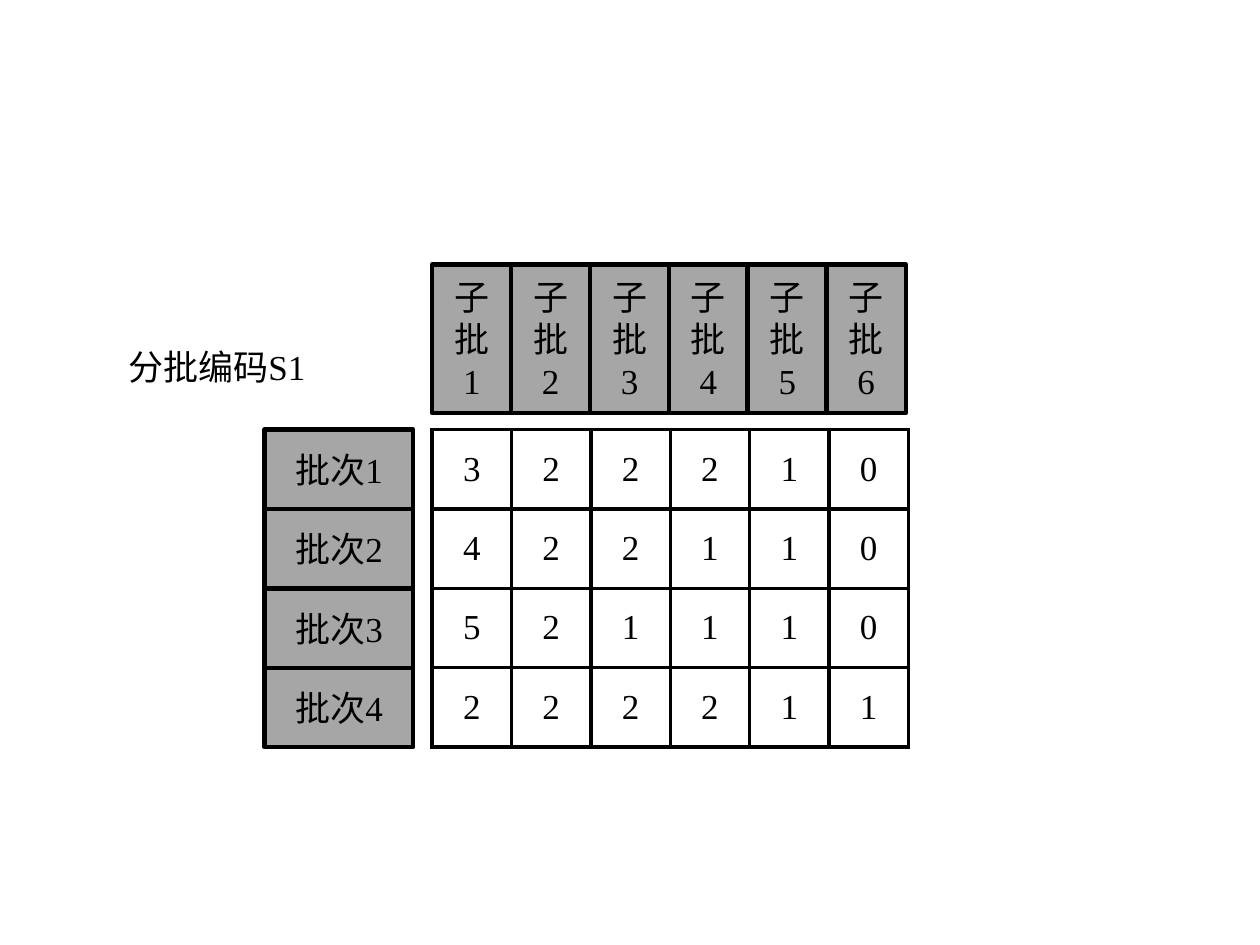
"""Build the batch-splitting code matrix slide."""
from lxml import etree
from pptx import Presentation
from pptx import util as u
from pptx.dml.color import RGBColor
from pptx.enum import shapes, text
from pptx.oxml import ns

TITLE = "分批编码S1"
COLS = [f"子批\n{n}" for n in range(1, 7)]
ROWS = [f"批次{n}" for n in range(1, 5)]
CODES = [
    (3, 2, 2, 2, 1, 0),
    (4, 2, 2, 1, 1, 0),
    (5, 2, 1, 1, 1, 0),
    (2, 2, 2, 2, 1, 1),
]
FONT, SIZE = "Times New Roman", u.Pt(20)
BLACK = RGBColor(0, 0, 0)
GRAY = RGBColor(0xA6, 0xA6, 0xA6)
CELL, LONG = u.Inches(0.63), u.Inches(1.18)
LEFT, TOP = u.Inches(3.43), u.Inches(3.41)
EDGE = u.Inches(2.1)
STEP = (u.Inches(6.56) - LEFT) // 5


def write(frame, words):
    frame.text = words
    for para in frame.paragraphs:
        para.alignment = text.PP_ALIGN.CENTER
        for run in para.runs:
            run.font.name, run.font.size = FONT, SIZE
            run.font.color.rgb = BLACK


def label(group, words, x, y, w, h):
    box = group.shapes.add_shape(shapes.MSO_SHAPE.RECTANGLE, x, y, w, h)
    box.shadow.inherit = False
    box.fill.solid()
    box.fill.fore_color.rgb = GRAY
    box.line.color.rgb = BLACK
    box.line.width = u.Pt(2.5)
    frame = box.text_frame
    frame.word_wrap = True
    frame.vertical_anchor = text.MSO_ANCHOR.MIDDLE
    write(frame, words)


def border(cell):
    props = cell._tc.get_or_add_tcPr()
    for side in ("lnL", "lnR", "lnT", "lnB"):
        line = etree.SubElement(props, ns.qn(f"a:{side}"), w=str(u.Pt(2.25)))
        fill = etree.SubElement(line, ns.qn("a:solidFill"))
        etree.SubElement(fill, ns.qn("a:srgbClr"), val=str(BLACK))


deck = Presentation()
deck.slide_width, deck.slide_height = u.Inches(10), u.Inches(7.5)
slide = deck.slides.add_slide(deck.slide_layouts[6])

heads = slide.shapes.add_group_shape()
for i, words in enumerate(COLS):
    label(heads, words, LEFT + i * STEP, EDGE, CELL, LONG)

sides = slide.shapes.add_group_shape()
for i, words in enumerate(ROWS):
    label(sides, words, EDGE, TOP + i * CELL, LONG, CELL)

grid = slide.shapes.add_table(
    len(ROWS), len(COLS), LEFT, TOP, CELL * len(COLS), CELL * len(ROWS)).table
grid.first_row = grid.horz_banding = False
for col in grid.columns:
    col.width = CELL
for row, codes in zip(grid.rows, CODES):
    row.height = CELL
    for cell, code in zip(row.cells, codes):
        border(cell)
        cell.fill.background()
        cell.vertical_anchor = text.MSO_ANCHOR.MIDDLE
        write(cell.text_frame, str(code))

name = slide.shapes.add_textbox(
    u.Inches(0.91), u.Inches(2.69), u.Inches(1.62), u.Inches(0.44))
name.text_frame.word_wrap = True
write(name.text_frame, TITLE)

deck.save("out.pptx")
